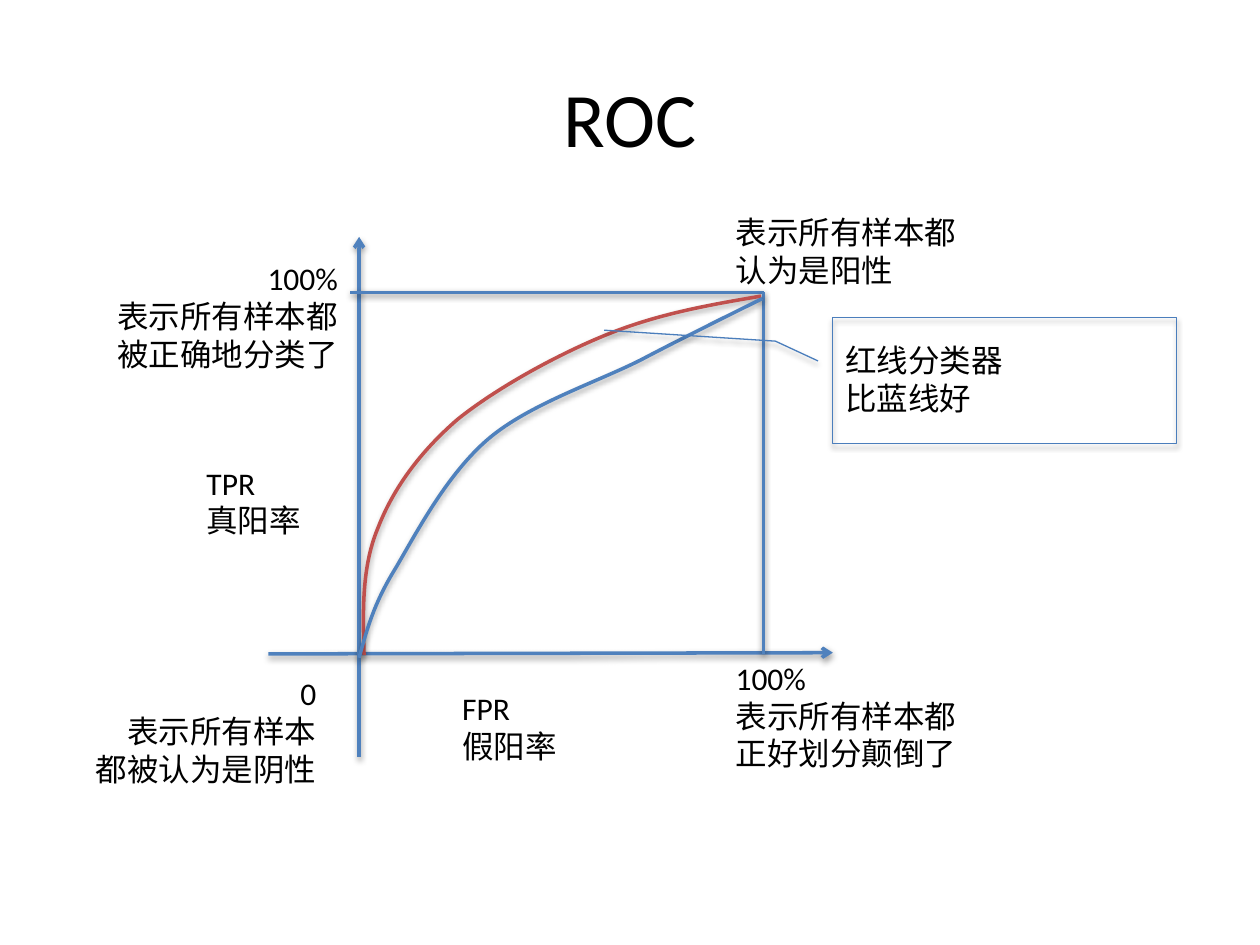
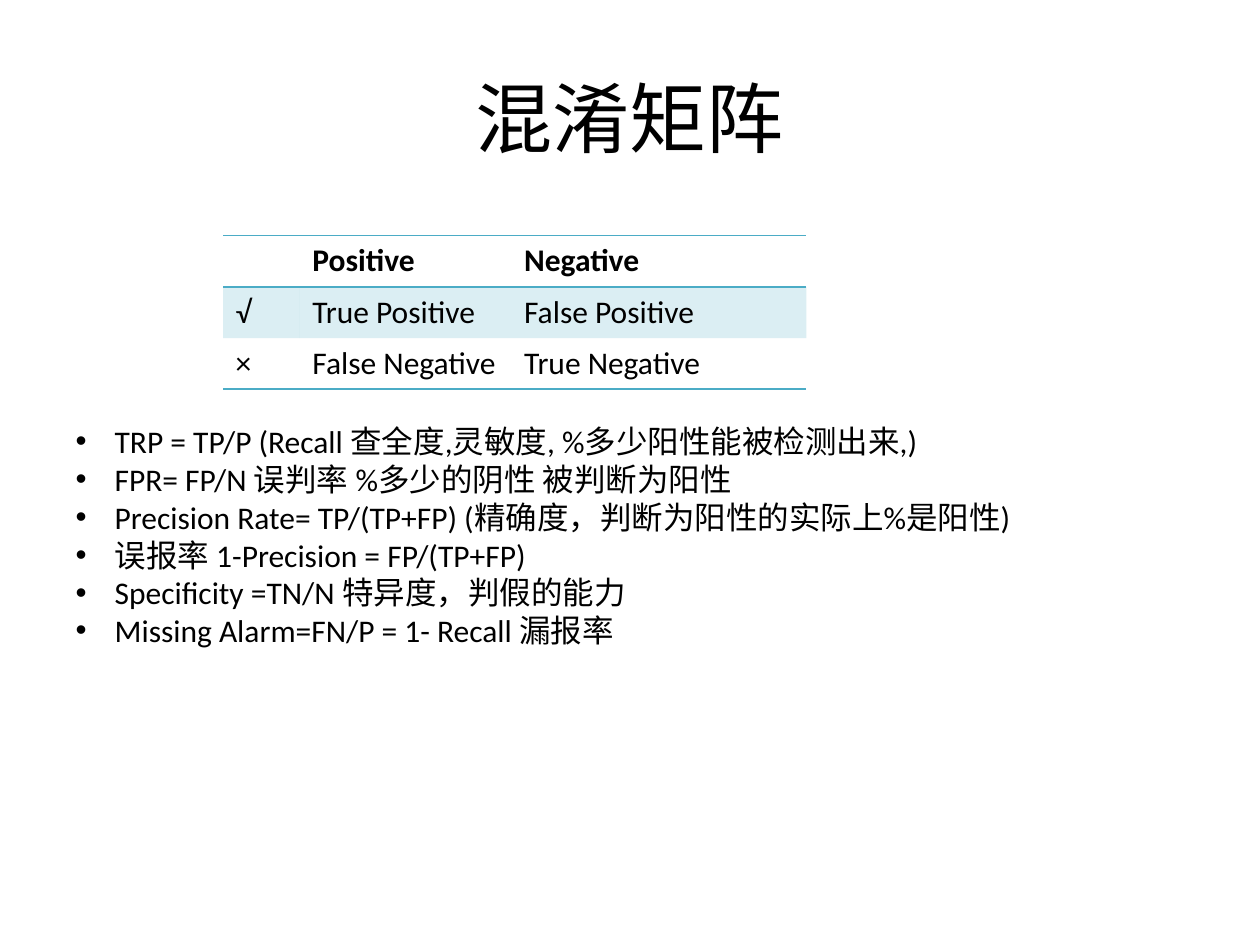
from lxml import etree
from pptx import Presentation
from pptx import util as u
from pptx.dml.color import RGBColor
from pptx.enum import shapes, text
from pptx.oxml import ns

BLUE, RED, CALLOUT, TEAL, BLACK = "4F81BD", "C0504D", "4B7EBC", "4BACC6", "000000"
FONT = "Calibri"
LIGHT_STYLE_ACCENT_5 = "{5FD0F851-EC5A-4D38-B0AD-8093EC10F338}"
LEFT, RIGHT = text.PP_ALIGN.LEFT, text.PP_ALIGN.RIGHT
GROW = text.MSO_AUTO_SIZE.SHAPE_TO_FIT_TEXT

prs = Presentation()
prs.slide_width, prs.slide_height = u.Inches(10), u.Inches(7.5)
unit = prs.slide_width / 100


def grid(*cells):
    return [round(n * unit) for n in cells]


def rgb(value):
    return RGBColor.from_string(value)


slides = []
for layout, title in ((5, "ROC"), (1, "混淆矩阵")):
    s = prs.slides.add_slide(prs.slide_layouts[layout])
    sp = s.shapes.title
    sp.left, sp.top, sp.width, sp.height = grid(5, 3, 90, 12.5)
    sp.text_frame.text = title
    p = sp.text_frame.paragraphs[0]
    p.alignment = text.PP_ALIGN.CENTER
    p.font.size, p.font.name = u.Pt(44), FONT
    p.font.color.rgb = rgb(BLACK)
    slides.append(s)
roc, matrix = slides

axis_x, full_x, axis_y, full_y = 28.5, 60.6, 51.9, 23.2
lines = [
    (21.3, axis_y, 66.1, 51.8, True),
    (axis_x, 60.1, axis_x, 18.8, True),
    (27.8, full_y, full_x, full_y, False),
    (full_x, axis_y, full_x, full_y, False),
]
for *ends, arrow in lines:
    cn = roc.shapes.add_connector(shapes.MSO_CONNECTOR.STRAIGHT, *grid(*ends))
    cn.line.color.rgb = rgb(BLUE)
    cn.line.width = u.Pt(2)
    if arrow:
        etree.SubElement(cn.line._get_or_add_ln(), ns.qn("a:tailEnd"), type="arrow")

curves = [
    (RED, [(28.9, 52), (28.8, 48.5), (28.7, 45), (30, 41.9), (31.2, 38.8), (33.3, 35.9), (36.3, 33.3),
           (39.4, 30.8), (44.3, 28.1), (48.3, 26.5), (52.3, 24.9), (56.3, 24.2), (60.4, 23.5)]),
    (BLUE, [(28.5, 52.2), (29.1, 50.1), (29.6, 48), (31.4, 45.1), (33.1, 42.2), (35.5, 37.6), (38.8, 34.8),
            (42, 32.1), (47.2, 30.4), (50.8, 28.6), (54.4, 26.7), (60.5, 23.7), (60.5, 23.7)]),
]
for color, knots in curves:
    builder = roc.shapes.build_freeform(*grid(*knots[0]))
    builder.add_line_segments([grid(*knot) for knot in knots[1:]], close=False)
    sp = builder.convert_to_shape()
    segments = list(sp._element.iter(ns.qn("a:lnTo")))
    for i in range(0, len(segments), 3):
        bezier = etree.Element(ns.qn("a:cubicBezTo"))
        segments[i].addprevious(bezier)
        for segment in segments[i:i + 3]:
            bezier.append(segment[0])
            segment.getparent().remove(segment)
    sp.fill.background()
    sp.line.color.rgb = rgb(color)
    sp.line.width = u.Pt(2)

sp = roc.shapes.add_shape(shapes.MSO_SHAPE.LINE_CALLOUT_2, *grid(66.1, 25.2, 27.3, 10))
for i, value in enumerate((0.345, -0.043, 0.188, -0.167, 0.101, -0.665)):
    sp.adjustments[i] = value
sp.fill.background()
sp.line.color.rgb = rgb(CALLOUT)
sp.line.width = u.Pt(0.75)

labels = [
    (35.7, 54.2, 9.6, LEFT, ["FPR", "假阳率"]),
    (15.4, 36.3, 9.6, LEFT, ["TPR", "真阳率"]),
    (6.4, 53, 19.7, RIGHT, ["0", "表示所有样本", "都被认为是阴性"]),
    (6.4, 20.1, 21.4, RIGHT, ["100%", "表示所有样本都", "被正确地分类了"]),
    (57.4, 16.4, 19.7, LEFT, ["表示所有样本都", "认为是阳性"]),
    (57.4, 51.8, 19.7, LEFT, ["100%", "表示所有样本都", "正好划分颠倒了"]),
    (66.1, 26.6, 14.6, LEFT, ["红线分类器", "比蓝线好"]),
]
for x, y, w, align, rows in labels:
    tf = roc.shapes.add_textbox(*grid(x, y, w, 1 + 3.03 * len(rows))).text_frame
    tf.word_wrap = w > 20
    tf.auto_size = GROW
    tf.text = "\n".join(rows)
    for p in tf.paragraphs:
        p.alignment = align
        p.font.size, p.font.name = u.Pt(18), FONT
        p.font.color.rgb = rgb(BLACK)

cells = [
    ["", "Positive", "Negative"],
    ["√", "True Positive", "False Positive"],
    ["×", "False Negative", "True Negative"],
]
table = matrix.shapes.add_table(3, 3, *grid(17.7, 18.7, 46.3, 12.2)).table
table._tbl.tblPr.find(ns.qn("a:tableStyleId")).text = LIGHT_STYLE_ACCENT_5
for column, width in zip(table.columns, grid(6.1, 16.8, 23.4)):
    column.width = width
for i, row in enumerate(cells):
    for j, value in enumerate(row):
        cell = table.cell(i, j)
        cell.text = value
        p = cell.text_frame.paragraphs[0]
        p.font.size, p.font.name, p.font.bold = u.Pt(18), FONT, i == 0
        p.font.color.rgb = rgb(BLACK)
        if i == 1:
            cell.fill.solid()
            cell.fill.fore_color.rgb = rgb(TEAL)
            tint = cell._tc.tcPr.find(".//" + ns.qn("a:srgbClr"))
            etree.SubElement(tint, ns.qn("a:alpha"), val="20000")
        else:
            cell.fill.background()

body = matrix.placeholders[1]
body.left, body.top, body.width, body.height = grid(5, 33, 90, 28.3)
tf = body.text_frame
tf.auto_size = GROW
tf.text = "\n".join([
    "TRP = TP/P (Recall 查全度,灵敏度, %多少阳性能被检测出来,)",
    "FPR= FP/N 误判率 %多少的阴性 被判断为阳性",
    "Precision Rate= TP/(TP+FP) (精确度，判断为阳性的实际上%是阳性)",
    "误报率 1-Precision = FP/(TP+FP)",
    "Specificity =TN/N 特异度，判假的能力",
    "Missing Alarm=FN/P = 1- Recall 漏报率",
])
indent = u.Inches(0.31)
for p in tf.paragraphs:
    p.space_before = u.Pt(0)
    p.font.size, p.font.name = u.Pt(18), FONT
    p.font.color.rgb = rgb(BLACK)
    pPr = p._p.get_or_add_pPr()
    pPr.set("marL", str(indent))
    pPr.set("indent", str(-indent))

prs.save("out.pptx")
